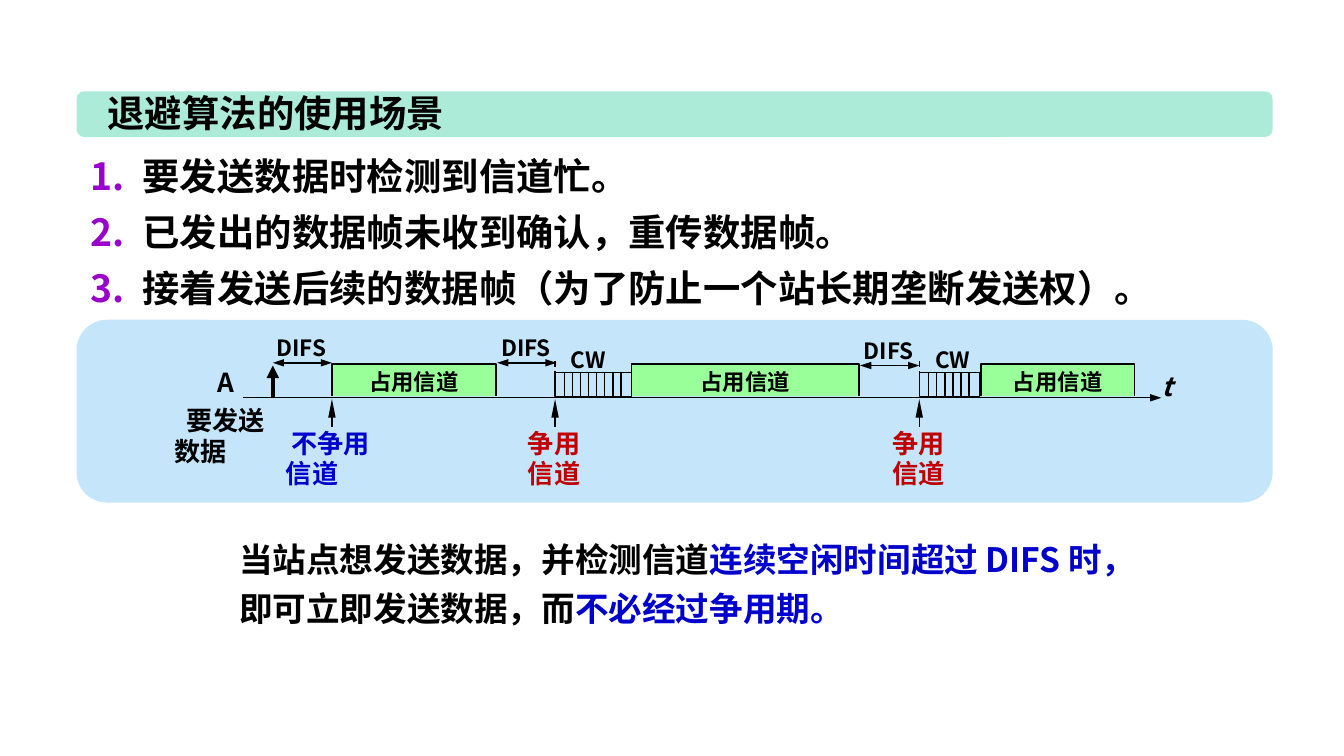
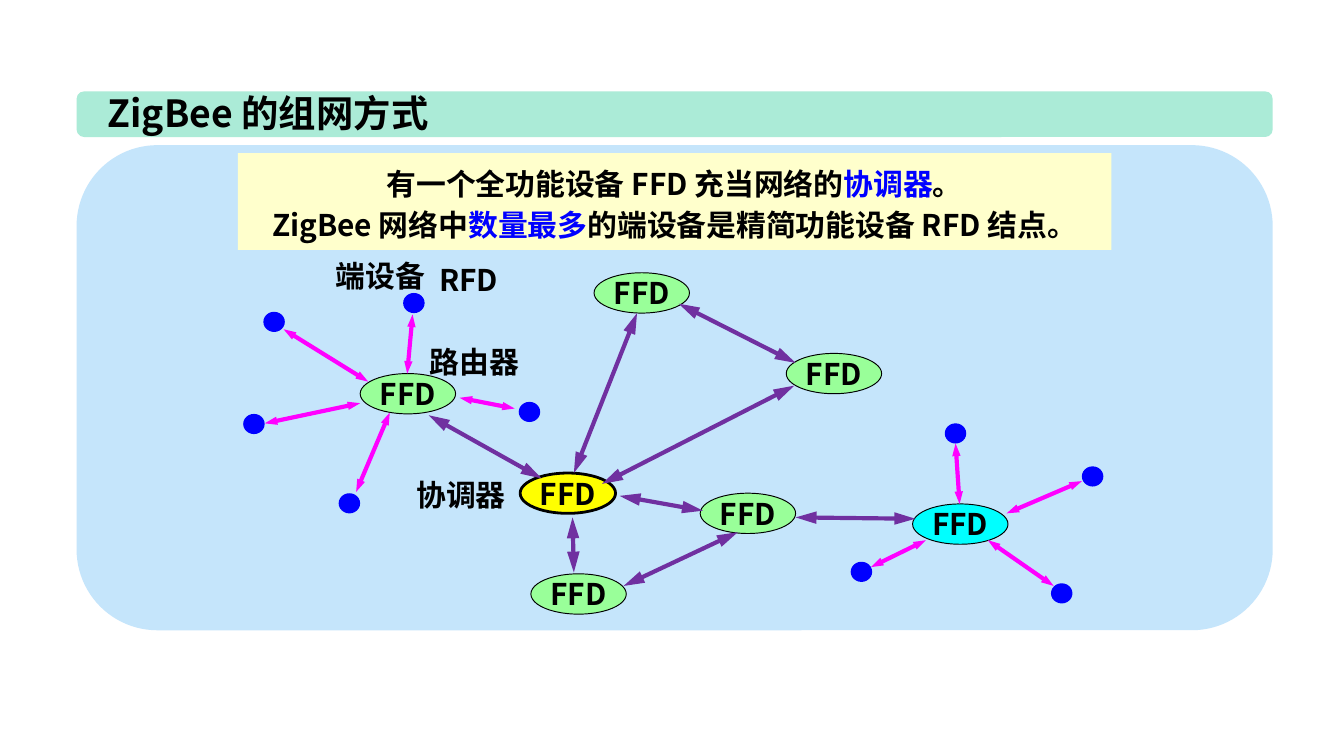
from dataclasses import dataclass

import lxml.etree
import pptx
import pptx.dml.color
import pptx.enum.dml
import pptx.enum.shapes
import pptx.enum.text
import pptx.oxml.ns
import pptx.util

Inches = pptx.util.Inches
Pt = pptx.util.Pt
qn = pptx.oxml.ns.qn
SHAPES = pptx.enum.shapes.MSO_SHAPE
ALIGN = pptx.enum.text.PP_ALIGN
AUTO_SIZE = pptx.enum.text.MSO_AUTO_SIZE
ANCHOR = pptx.enum.text.MSO_ANCHOR

FONT = "Noto Sans CJK SC"
COLORS = {
    "text": "000000", "band": "ABEBD7", "panel": "C5E5FB", "number": "9900CC",
    "busy": "99FF99", "accent": "0000CC", "contend": "C00000",
    "banner": "FFFFCC", "highlight": "0000FF", "device": "0000FF",
    "router": "99FF99", "remote router": "00FFFF", "coordinator": "FFFF00",
    "backbone": "7030A0", "device link": "FF00FF",
}


@dataclass
class Box:
    left: float
    top: float
    width: float
    height: float

    def inner(self, x, y, width, height):
        """Return a box whose corner is offset from this one's corner."""
        return Box(self.left + x, self.top + y, width, height)

    def lengths(self):
        return [Inches(side) for side in (self.left, self.top, self.width, self.height)]


TITLE_BAND = Box(0.57, 0.68, 8.9, 0.34)


def rgb(color):
    return pptx.dml.color.RGBColor.from_string(COLORS[color])


def format_para(para, size, color="text", align=ALIGN.LEFT, spacing=None):
    para.alignment = align
    if spacing:
        para.line_spacing = Pt(spacing)
    for span in para.runs:
        span.font.size = Pt(size)
        span.font.bold = True
        span.font.color.rgb = rgb(color)
        span.font.name = FONT
        east_asian = lxml.etree.SubElement(span.font._element, qn("a:ea"))
        east_asian.set("typeface", FONT)


def add_spans(para, spans, size, **layout):
    """Fill a paragraph with (text, colour) spans."""
    for text, _ in spans:
        para.add_run().text = text
    format_para(para, size, **layout)
    for span, (_, color) in zip(para.runs, spans):
        span.font.color.rgb = rgb(color)


def add_text(page, box, text, size, wrap=False, **layout):
    shape = page.shapes.add_textbox(*box.lengths())
    frame = shape.text_frame
    frame.text = text
    frame.word_wrap = wrap
    frame.auto_size = AUTO_SIZE.SHAPE_TO_FIT_TEXT
    for para in frame.paragraphs:
        format_para(para, size, **layout)
    return frame


def paint(shape, fill=None, line=None, width=0.75):
    shape.shadow.inherit = False
    if fill:
        shape.fill.solid()
        shape.fill.fore_color.rgb = rgb(fill)
    else:
        shape.fill.background()
    if line:
        shape.line.color.rgb = rgb(line)
        shape.line.width = Pt(width)
    else:
        shape.line.fill.background()


def add_block(page, kind, box, **style):
    shape = page.shapes.add_shape(kind, *box.lengths())
    paint(shape, **style)
    return shape


def add_line(page, box, ends, color="text", width=0.75, arrows="", head=("med", "med")):
    """Draw a line inside box; arrows names its ends, head its width and length."""
    x1, y1, x2, y2 = ends
    line = page.shapes.add_connector(
        pptx.enum.shapes.MSO_CONNECTOR.STRAIGHT,
        Inches(box.left + x1), Inches(box.top + y1),
        Inches(box.left + x2), Inches(box.top + y2))
    line.line.color.rgb = rgb(color)
    line.line.width = Pt(width)
    outline = line.line._get_or_add_ln()
    for end in arrows.split():
        arrow = lxml.etree.SubElement(outline, qn(f"a:{end}End"))
        arrow.set("type", "triangle")
        arrow.set("w", head[0])
        arrow.set("len", head[1])
    lxml.etree.SubElement(line._element.spPr, qn("a:effectLst"))
    return line


def add_page(deck, layout, title):
    page = deck.slides.add_slide(deck.slide_layouts[layout])
    band = add_block(page, SHAPES.ROUNDED_RECTANGLE, TITLE_BAND, fill="band")
    band.element.getparent().insert(2, band.element)
    heading = page.shapes.title
    box = TITLE_BAND.inner(0.13, -0.06, 2.81, 0.44)
    heading.left, heading.top, heading.width, heading.height = box.lengths()
    frame = heading.text_frame
    frame.text = title
    frame.word_wrap = False
    frame.auto_size = AUTO_SIZE.SHAPE_TO_FIT_TEXT
    frame.vertical_anchor = ANCHOR.MIDDLE
    format_para(frame.paragraphs[0], 20)
    return page


def add_numbered_list(page, box, items):
    body = page.placeholders[1]
    body.left, body.top, body.width, body.height = box.lengths()
    frame = body.text_frame
    frame.text = "\n".join(items)
    frame.auto_size = AUTO_SIZE.NONE
    for para in frame.paragraphs:
        para.space_before = Pt(0)
        para.line_spacing = Pt(30)
        properties = para._p.get_or_add_pPr()
        properties.set("marL", str(Inches(0.39)))
        properties.set("indent", str(-Inches(0.39)))
        bullet_color = lxml.etree.SubElement(properties, qn("a:buClr"))
        lxml.etree.SubElement(bullet_color, qn("a:srgbClr")).set("val", COLORS["number"])
        number = lxml.etree.SubElement(properties, qn("a:buAutoNum"))
        number.set("type", "arabicPeriod")
        format_para(para, 20)


def add_busy_period(page, box):
    """Draw a channel-busy block, open at its foot, with its label."""
    left, top, width, height = box.lengths()
    builder = page.shapes.build_freeform(left, top + height)
    builder.add_line_segments(
        [(left, top), (left + width, top), (left + width, top + height)], close=False)
    paint(builder.convert_to_shape(), fill="busy", line="text")
    add_text(page, box.inner(box.width / 2 - 0.44, -0.02, 0.88, 0.3),
             "占用信道", 12, align=ALIGN.CENTER)


def add_difs(page, box, x, y):
    add_line(page, box, (x, y, x + 0.44, y), arrows="head tail", head=("sm", "med"))
    add_text(page, box.inner(x - 0.07, y - 0.26, 0.59, 0.3), "DIFS", 12)


def add_attempt_arrow(page, box, x):
    add_line(page, box, (x, 0.59, x, 0.8), arrows="head", head=("sm", "lg"))


def add_contention_window(page, box, x, width, ticks):
    window = box.inner(x, 0.39, width, 0.18)
    add_block(page, SHAPES.RECTANGLE, window, line="text")
    for tick in range(ticks):
        offset = 0.07 + 0.06 * tick
        add_line(page, window, (offset, 0, offset, window.height))
    border = add_line(page, box, (x, 0.31, x, 0.58))
    border.line.dash_style = pptx.enum.dml.MSO_LINE.DASH
    add_text(page, box.inner(x + 0.02, 0.15, 0.5, 0.3), "CW", 12)
    add_attempt_arrow(page, box, x)
    add_text(page, box.inner(x - 0.3, 0.76, 0.64, 0.55), "争用\n信道", 14,
             wrap=True, color="contend", spacing=16)


def add_timeline(page, box):
    add_block(page, SHAPES.ROUNDED_RECTANGLE, box, fill="panel")
    for x, width in ((1.9, 1.22), (4.13, 1.69), (6.73, 1.14)):
        add_busy_period(page, box.inner(x, 0.33, width, 0.24))
    for x, y in ((1.46, 0.32), (3.13, 0.32), (5.83, 0.34)):
        add_difs(page, box, x, y)
    for x, width, ticks in ((3.56, 0.57, 8), (6.27, 0.45, 6)):
        add_contention_window(page, box, x, width, ticks)

    add_line(page, box, (1.24, 0.58, 8.07, 0.58), arrows="tail", head=("sm", "med"))
    axis = add_text(page, box.inner(7.97, 0.33, 0.28, 0.34), "t", 14)
    axis.paragraphs[0].runs[0].font.italic = True

    add_text(page, box.inner(0.95, 0.3, 0.35, 0.34), "A", 14)
    add_line(page, box, (1.46, 0.58, 1.46, 0.34), width=2.25, arrows="tail")
    request = add_text(page, box.inner(0.63, 0.58, 0.98, 0.57), "要发送\n数据", 14, wrap=True)
    add_attempt_arrow(page, box, 1.9)
    free = add_text(page, box.inner(1.46, 0.76, 0.86, 0.55), "不争用\n信道", 14,
                    wrap=True, color="accent", spacing=16)
    for frame, indent in ((request, 0.09), (free, 0.04)):
        frame.paragraphs[0]._p.get_or_add_pPr().set("indent", str(Inches(indent)))


def add_conclusion(page, box):
    frame = add_text(page, box, "", 18, wrap=True)
    add_spans(frame.paragraphs[0], [
        ("当站点想发送数据，并检测信道", "text"),
        ("连续空闲时间超过 DIFS 时，", "accent"),
        ("即可立即发送数据，而", "text"),
        ("不必经过争用期。", "accent"),
    ], 18, spacing=26)


def add_banner(page, box):
    frame = add_block(page, SHAPES.RECTANGLE, box, fill="banner").text_frame
    frame.word_wrap = True
    lines = [
        [("有一个全功能设备 FFD 充当网络的", "text"), ("协调器", "highlight"), ("。", "text")],
        [("ZigBee 网络中", "text"), ("数量最多", "highlight"),
         ("的端设备是精简功能设备 RFD 结点。", "text")],
    ]
    frame.add_paragraph()
    for para, spans in zip(frame.paragraphs, lines):
        add_spans(para, spans, 16, align=ALIGN.CENTER, spacing=22)


def add_ffd(page, box, role):
    node = add_block(page, SHAPES.OVAL, box, fill=role, line="text",
                     width=1.5 if role == "coordinator" else 0.5)
    frame = node.text_frame
    frame.text = "FFD"
    frame.word_wrap = False
    frame.vertical_anchor = ANCHOR.MIDDLE
    format_para(frame.paragraphs[0], 16, align=ALIGN.CENTER)


def add_network(page, box):
    add_block(page, SHAPES.ROUNDED_RECTANGLE, box, fill="panel")
    add_banner(page, box.inner(1.2, 0.06, 6.5, 0.72))

    devices = [(2.43, 1.1), (7.25, 3.26), (5.76, 3.1), (7.48, 2.39), (6.46, 2.07),
               (1.39, 1.24), (1.24, 2), (1.95, 2.59), (3.29, 1.91)]
    for x, y in devices:
        add_block(page, SHAPES.OVAL, box.inner(x, y, 0.16, 0.15), fill="device")

    nodes = {
        "router": [(2.11, 1.7), (3.38, 3.19), (5.28, 1.55), (3.85, 0.95), (4.64, 2.59)],
        "remote router": [(6.22, 2.67)],
        "coordinator": [(3.3, 2.44)],
    }
    for role, places in nodes.items():
        for x, y in places:
            add_ffd(page, box.inner(x, y, 0.71, 0.3), role)

    links = {
        "backbone": (("med", "lg"), [
            (4.17, 1.25, 3.7, 2.44), (2.62, 2.01, 3.46, 2.48), (4.48, 1.18, 5.35, 1.62),
            (5.34, 1.79, 3.91, 2.52), (3.69, 2.77, 3.7, 3.18), (4.66, 2.72, 4.04, 2.61),
            (6.24, 2.78, 5.35, 2.77), (4.92, 2.88, 4.07, 3.28)]),
        "device link": (("sm", "med"), [
            (1.54, 1.37, 2.17, 1.76), (2.85, 1.88, 3.26, 1.96), (2.5, 1.26, 2.46, 1.7),
            (1.4, 2.07, 2.11, 1.92), (7.48, 2.5, 6.92, 2.74), (6.54, 2.22, 6.57, 2.67),
            (2.33, 1.99, 2.08, 2.58), (6.78, 2.94, 7.27, 3.28), (6.32, 2.94, 5.91, 3.14)]),
    }
    for color, (head, routes) in links.items():
        for ends in routes:
            add_line(page, box, ends, color, 2.25, "head tail", head)

    labels = [("RFD", 2.6, 0.82, 0.66), ("端设备", 1.83, 0.79, 0.88),
              ("路由器", 2.53, 1.43, 0.88), ("协调器", 2.43, 2.42, 0.88)]
    for text, x, y, width in labels:
        add_text(page, box.inner(x, y, width, 0.37), text, 16)


def main():
    deck = pptx.Presentation()
    deck.slide_width = Inches(10)
    deck.slide_height = deck.slide_width * 9 // 16

    backoff = add_page(deck, 1, "退避算法的使用场景")
    add_numbered_list(backoff, Box(0.57, 1.01, 8.9, 1.36), [
        "要发送数据时检测到信道忙。",
        "已发出的数据帧未收到确认，重传数据帧。",
        "接着发送后续的数据帧（为了防止一个站长期垄断发送权）。",
    ])
    add_timeline(backoff, Box(0.57, 2.38, 8.9, 1.36))
    add_conclusion(backoff, Box(1.68, 3.9, 7.09, 0.83))

    zigbee = add_page(deck, 5, "ZigBee 的组网方式")
    add_network(zigbee, Box(0.57, 1.08, 8.9, 3.61))

    deck.save("out.pptx")


if __name__ == "__main__":
    main()
